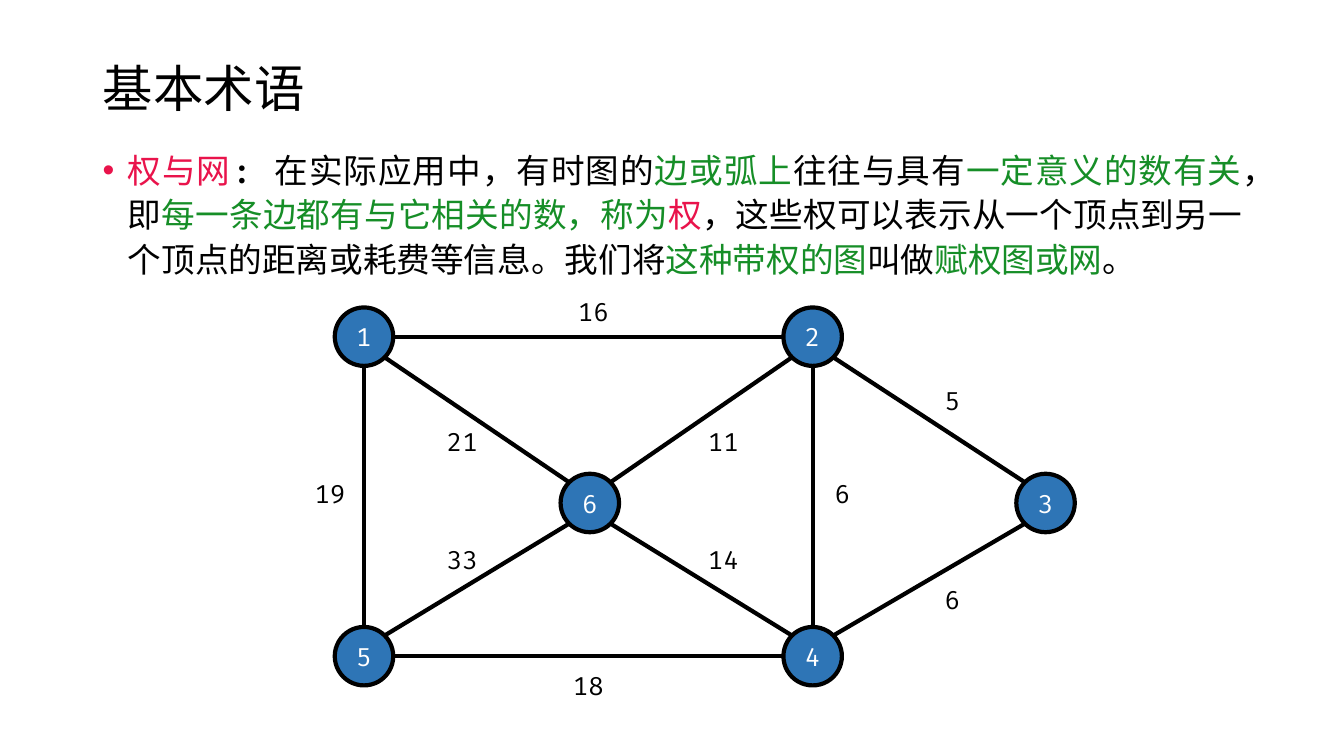
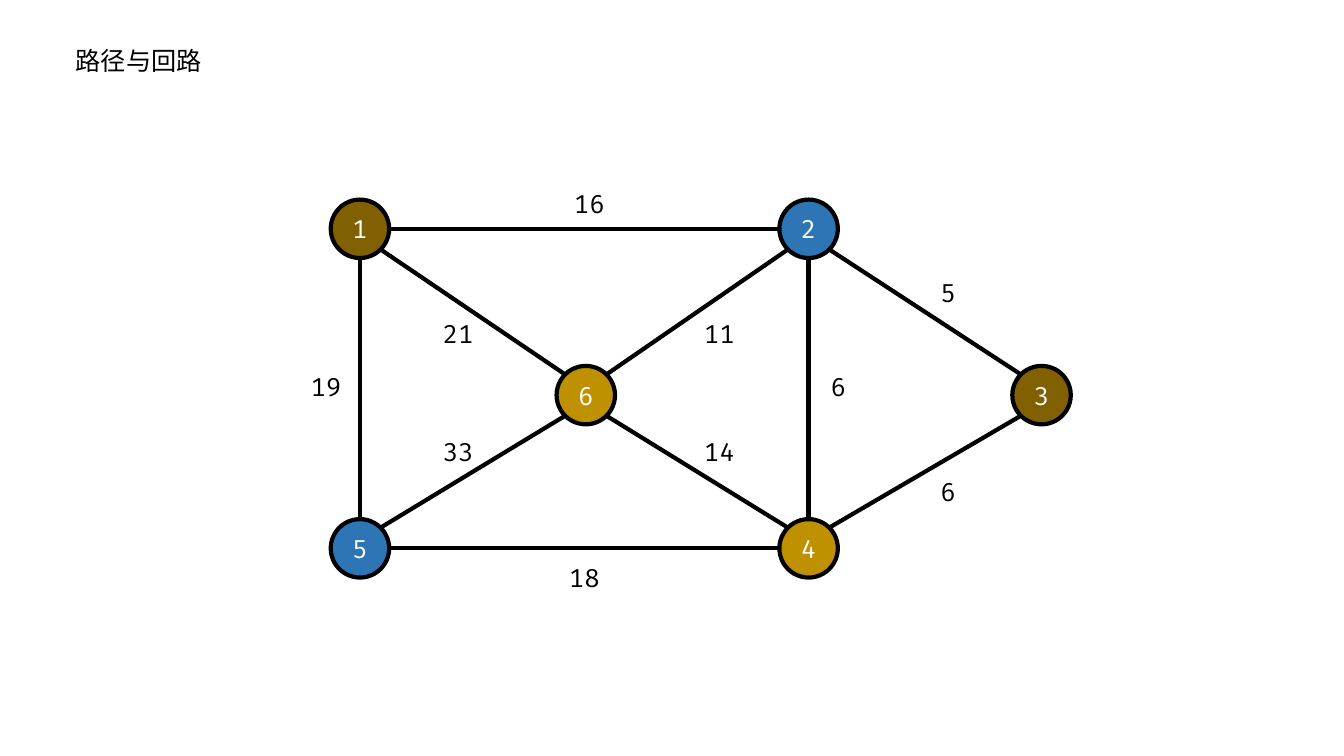
from dataclasses import dataclass
from math import hypot

from lxml import etree
from pptx import Presentation
from pptx.dml.color import RGBColor
from pptx.enum.shapes import MSO_CONNECTOR, MSO_SHAPE
from pptx.enum.text import MSO_ANCHOR, MSO_AUTO_SIZE, PP_ALIGN
from pptx.oxml.ns import qn
from pptx.util import Emu, Pt

STRAIGHT = MSO_CONNECTOR.STRAIGHT
OVAL = MSO_SHAPE.OVAL
TOP, MIDDLE = MSO_ANCHOR.TOP, MSO_ANCHOR.MIDDLE
NO_FIT, GROW = MSO_AUTO_SIZE.NONE, MSO_AUTO_SIZE.SHAPE_TO_FIT_TEXT
LEFT, CENTER, JUSTIFY = PP_ALIGN.LEFT, PP_ALIGN.CENTER, PP_ALIGN.JUSTIFY

EMU_PER_PX = 9144
BLACK, WHITE = "000000", "FFFFFF"
RED, GREEN = "E9134B", "168E27"
BLUE, GOLD, BROWN = "2E75B6", "BF9000", "806000"
CODE_FONT, HAN_FONT = "Fira Code", "Noto Sans CJK SC"
TITLE_ONLY = 5
LINE_WIDTH = 3
GRAPH_TEXT_SIZE = 18
NODE_SIZE = 58
LABEL_WIDTH, LABEL_HEIGHT = 69, 40
BULLET_INDENT = 25

OVAL_SITES = {
    (0, -1): 0, (-1, -1): 1, (-1, 0): 2, (-1, 1): 3,
    (0, 1): 4, (1, 1): 5, (1, 0): 6, (1, -1): 7,
}


@dataclass(frozen=True)
class Node:
    name: str
    x: int
    y: int


@dataclass(frozen=True)
class Edge:
    start: str
    end: str
    weight: str
    label_left: int
    label_top: int


@dataclass(frozen=True)
class Span:
    text: str
    color: str = BLACK


NODES = [
    Node("1", 361, 334),
    Node("2", 806, 334),
    Node("3", 1037, 499),
    Node("4", 806, 651),
    Node("5", 361, 651),
    Node("6", 585, 499),
]

EDGES = [
    Edge("1", "2", "16", 554, 289),
    Edge("1", "6", "21", 424, 418),
    Edge("1", "5", "19", 293, 470),
    Edge("5", "4", "18", 549, 660),
    Edge("5", "6", "33", 424, 535),
    Edge("2", "6", "11", 683, 418),
    Edge("6", "4", "14", 683, 535),
    Edge("4", "2", "6", 801, 470),
    Edge("4", "3", "6", 910, 575),
    Edge("3", "2", "5", 910, 377),
]

DEFINITION = [
    Span("权与网", RED),
    Span(": 在实际应用中，有时图的"),
    Span("边或弧上", GREEN),
    Span("往往与具有"),
    Span("一定意义的数有关", GREEN),
    Span("，即"),
    Span("每一条边都有与它相关的数，称为", GREEN),
    Span("权", RED),
    Span("，这些权可以表示从一个顶点到另一个顶点的距离或耗费等信息。我们将"),
    Span("这种带权的图", GREEN),
    Span("叫做"),
    Span("赋权图或网", GREEN),
    Span("。"),
]


def px(value: float) -> Emu:
    return Emu(round(value * EMU_PER_PX))


def rgb(value: str) -> RGBColor:
    return RGBColor.from_string(value)


def style_paragraph(para, size: int, color: str = BLACK, font_name: str = CODE_FONT,
                    align=CENTER) -> None:
    para.alignment = align
    font = para.font
    font.size = Pt(size)
    font.bold = False
    font.color.rgb = rgb(color)
    font.name = font_name
    latin = font._element.find(qn("a:latin"))
    east_asian = etree.Element(qn("a:ea"), typeface=font_name)
    latin.addnext(east_asian)


def add_text_box(page, left: int, top: int, width: int, height: int):
    box = page.shapes.add_textbox(px(left), px(top), px(width), px(height))
    box.text_frame.word_wrap = True
    return box.text_frame


def set_title(page, text: str, area: tuple[int, int, int, int], size: int,
              font_name: str, anchor, spacing: float) -> None:
    title = page.shapes.title
    title.left, title.top, title.width, title.height = map(px, area)
    frame = title.text_frame
    frame.text = text
    frame.word_wrap = True
    frame.auto_size = NO_FIT
    frame.vertical_anchor = anchor
    para = frame.paragraphs[0]
    para.line_spacing = spacing
    style_paragraph(para, size, font_name=font_name, align=LEFT)


def add_definition(page) -> None:
    para = add_text_box(page, 92, 140, 1150, 150).paragraphs[0]
    para.line_spacing = 1.1
    properties = para._p.get_or_add_pPr()
    properties.set("marL", str(px(BULLET_INDENT)))
    properties.set("indent", str(px(-BULLET_INDENT)))
    properties.set("hangingPunct", "1")
    bullet_color = etree.SubElement(properties, qn("a:buClr"))
    etree.SubElement(bullet_color, qn("a:srgbClr"), val=RED)
    etree.SubElement(properties, qn("a:buFont"), typeface="Arial")
    etree.SubElement(properties, qn("a:buChar"), char="•")
    style_paragraph(para, 24, align=JUSTIFY)
    for span in DEFINITION:
        run = para.add_run()
        run.text = span.text
        run.font.color.rgb = rgb(span.color)


def add_node(page, node: Node, fill: str, dx: int, dy: int):
    radius = NODE_SIZE / 2
    circle = page.shapes.add_shape(
        OVAL, px(node.x + dx - radius), px(node.y + dy - radius),
        px(NODE_SIZE), px(NODE_SIZE))
    circle.shadow.inherit = False
    circle.fill.solid()
    circle.fill.fore_color.rgb = rgb(fill)
    circle.line.color.rgb = rgb(BLACK)
    circle.line.width = Pt(LINE_WIDTH)
    frame = circle.text_frame
    frame.text = node.name
    frame.word_wrap = False
    frame.vertical_anchor = MIDDLE
    style_paragraph(frame.paragraphs[0], GRAPH_TEXT_SIZE, WHITE)
    return circle


def direction(start: int, end: int) -> int:
    return (end > start) - (end < start)


def rim_point(node: Node, toward: tuple[int, int]) -> tuple[float, float]:
    reach = NODE_SIZE / 2 / hypot(*toward)
    return node.x + toward[0] * reach, node.y + toward[1] * reach


def add_edge(page, start: Node, end: Node, circles: dict, dx: int, dy: int) -> None:
    forward = direction(start.x, end.x), direction(start.y, end.y)
    backward = -forward[0], -forward[1]
    x1, y1 = rim_point(start, forward)
    x2, y2 = rim_point(end, backward)
    connector = page.shapes.add_connector(
        STRAIGHT, px(x1 + dx), px(y1 + dy), px(x2 + dx), px(y2 + dy))
    connector.line.color.rgb = rgb(BLACK)
    connector.line.width = Pt(LINE_WIDTH)
    etree.SubElement(connector._element.spPr, qn("a:effectLst"))
    links = connector._element.nvCxnSpPr.cNvCxnSpPr
    for tag, node, toward in (("a:stCxn", start, forward), ("a:endCxn", end, backward)):
        etree.SubElement(links, qn(tag), id=str(circles[node.name].shape_id),
                         idx=str(OVAL_SITES[toward]))


def add_weight(page, edge: Edge, dx: int, dy: int) -> None:
    frame = add_text_box(page, edge.label_left + dx, edge.label_top + dy,
                         LABEL_WIDTH, LABEL_HEIGHT)
    frame.auto_size = GROW
    frame.text = edge.weight
    style_paragraph(frame.paragraphs[0], GRAPH_TEXT_SIZE)


def add_graph(page, fills: dict[str, str], dx: int = 0, dy: int = 0) -> None:
    nodes = {node.name: node for node in NODES}
    circles = {
        node.name: add_node(page, node, fills.get(node.name, BLUE), dx, dy)
        for node in NODES
    }
    for edge in EDGES:
        add_edge(page, nodes[edge.start], nodes[edge.end], circles, dx, dy)
    for edge in EDGES:
        add_weight(page, edge, dx, dy)


def add_terms_slide(deck) -> None:
    page = deck.slides.add_slide(deck.slide_layouts[TITLE_ONLY])
    set_title(page, "基本术语", (92, 40, 1150, 100), 36, CODE_FONT, MIDDLE, 0.9)
    add_definition(page)
    add_graph(page, {})


def add_paths_slide(deck) -> None:
    page = deck.slides.add_slide(deck.slide_layouts[TITLE_ONLY])
    set_title(page, "路径与回路", (65, 40, 196, 40), 18, HAN_FONT, TOP, 1.0)
    add_graph(page, {"1": BROWN, "3": BROWN, "4": GOLD, "6": GOLD}, -4, -107)


def main() -> None:
    deck = Presentation()
    deck.slide_width, deck.slide_height = px(1333), px(750)
    add_terms_slide(deck)
    add_paths_slide(deck)
    deck.save("out.pptx")


if __name__ == "__main__":
    main()
